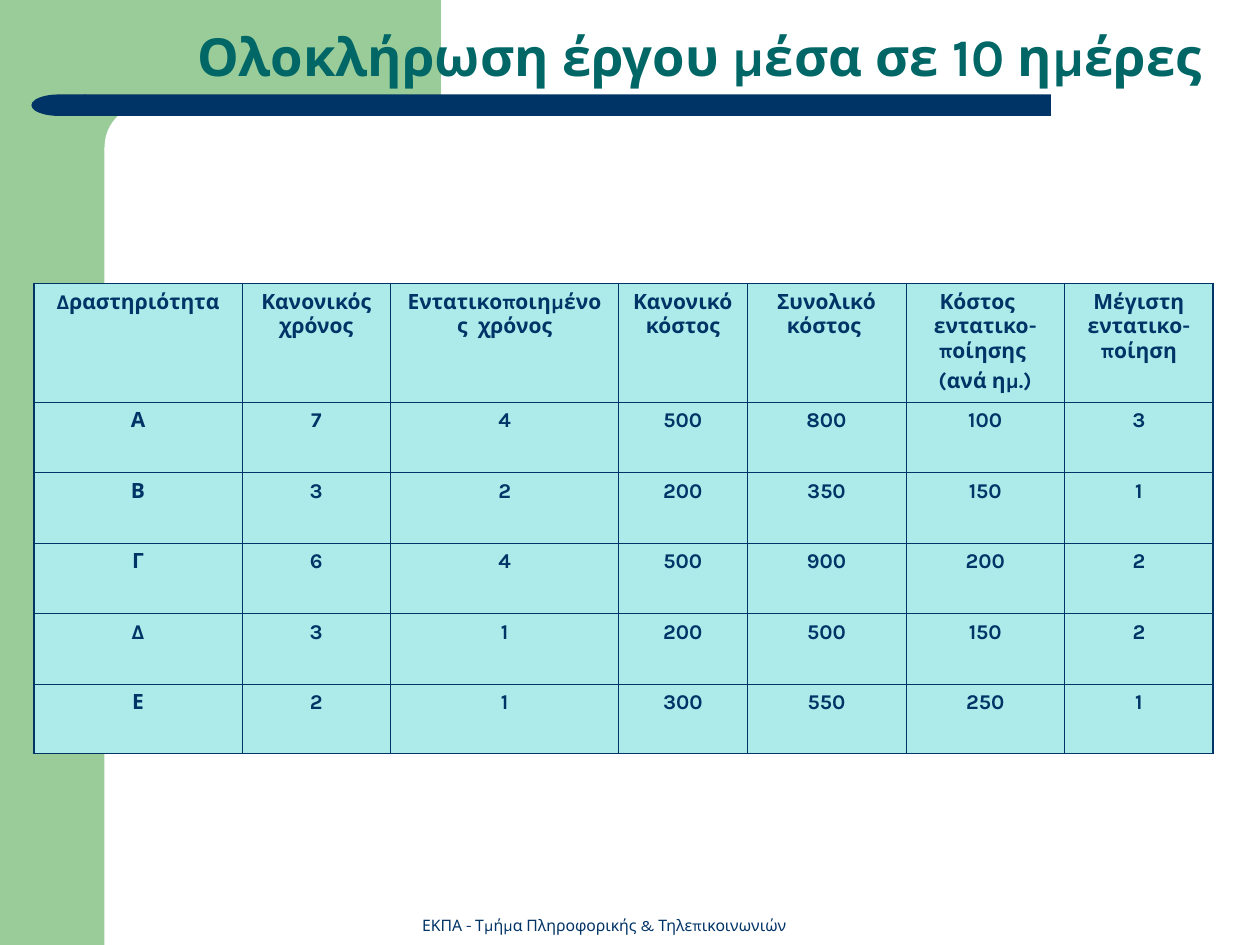
from dataclasses import dataclass

from lxml import etree
from pptx import Presentation
from pptx import util as u
from pptx.dml.color import RGBColor
from pptx.enum import shapes, text
from pptx.oxml import ns

COLORS = {
    "green": "99CC99",
    "white": "FFFFFF",
    "navy": "003366",
    "teal": "006666",
    "aqua": "ADEBEB",
}
FONT = "Karla"
OUTER_LINE, INNER_LINE = 1.08, 0.45
COLUMN_WIDTHS = [1.65, 1.18, 1.81, 1.02, 1.26, 1.26, 1.18]
ROW_HEIGHTS = [0.94] + [0.56] * 4 + [0.55]
ROWS = [
    ["Δραστηριότητα", "Κανονικός χρόνος", "Εντατικοποιημένος  χρόνος",
     "Κανονικό κόστος", "Συνολικό κόστος ",
     "Κόστος    εντατικο-ποίησης \n(ανά ημ.)", "Μέγιστη εντατικο-ποίηση"],
    ["Α", "7", "4", "500", "800", "100", "3"],
    ["Β", "3", "2", "200", "350", "150", "1"],
    ["Γ", "6", "4", "500", "900", "200", "2"],
    ["Δ", "3", "1", "200", "500", "150", "2"],
    ["Ε", "2", "1", "300", "550", "250", "1"],
]


@dataclass
class Panel:
    kind: shapes.MSO_SHAPE
    left: float
    top: float
    width: float
    height: float
    color: str
    corner: float | None = None
    flipped: bool = False


PANELS = [
    Panel(shapes.MSO_SHAPE.RECTANGLE, 0, 0, 0.83, 7.5, "green"),
    Panel(shapes.MSO_SHAPE.RECTANGLE, 0.75, 0, 2.75, 1.17, "green"),
    Panel(shapes.MSO_SHAPE.ROUNDED_RECTANGLE, 0.83, 0.83, 5.58, 0.67, "white", corner=0.5),
    Panel(shapes.MSO_SHAPE.ROUNDED_RECTANGLE, 0.67, 0.75, 7.67, 0.17, "navy", corner=0),
    Panel(shapes.MSO_SHAPE.FLOWCHART_DELAY, 0.25, 0.75, 0.43, 0.17, "navy", flipped=True),
]


def rgb(name: str) -> RGBColor:
    return RGBColor.from_string(COLORS[name])


def draw_panel(slide, panel: Panel) -> None:
    shape = slide.shapes.add_shape(
        panel.kind, u.Inches(panel.left), u.Inches(panel.top),
        u.Inches(panel.width), u.Inches(panel.height))
    shape.shadow.inherit = False
    shape.fill.solid()
    shape.fill.fore_color.rgb = rgb(panel.color)
    shape.line.fill.background()
    if panel.corner is not None:
        shape.adjustments[0] = panel.corner
    if panel.flipped:
        shape.element.spPr.xfrm.set("flipH", "1")


def style_paragraph(paragraph, size: float, color: str, align, bold: bool = False) -> None:
    paragraph.alignment = align
    paragraph.font.name = FONT
    paragraph.font.size = u.Pt(size)
    paragraph.font.bold = bold
    paragraph.font.color.rgb = rgb(color)


def draw_title(slide, words: str) -> None:
    title = slide.shapes.title
    title.left, title.top = u.Inches(0.33), u.Inches(0.25)
    title.width, title.height = u.Inches(9.42), u.Inches(0.5)
    frame = title.text_frame
    frame.text = words
    frame.word_wrap = True
    frame.auto_size = text.MSO_AUTO_SIZE.NONE
    frame.vertical_anchor = text.MSO_ANCHOR.BOTTOM
    paragraph = frame.paragraphs[0]
    paragraph.line_spacing = 0.9
    style_paragraph(paragraph, 30, "teal", text.PP_ALIGN.RIGHT, bold=True)
    title.element.getparent().append(title.element)


def draw_footer(slide, words: str) -> None:
    box = slide.shapes.add_textbox(
        u.Inches(3.21), u.Inches(7.22), u.Inches(3.17), u.Inches(0.25))
    frame = box.text_frame
    frame.text = words
    frame.word_wrap = True
    frame.vertical_anchor = text.MSO_ANCHOR.BOTTOM
    style_paragraph(frame.paragraphs[0], 9, "navy", text.PP_ALIGN.CENTER)


def add_border(cell, side: str, points: float) -> None:
    properties = cell._tc.get_or_add_tcPr()
    line = etree.SubElement(properties, ns.qn(f"a:ln{side}"), w=str(u.Pt(points)))
    fill = etree.SubElement(line, ns.qn("a:solidFill"))
    etree.SubElement(fill, ns.qn("a:srgbClr"), val=COLORS["navy"])


def draw_table(slide) -> None:
    table = slide.shapes.add_table(
        len(ROWS), len(COLUMN_WIDTHS), u.Inches(0.27), u.Inches(2.25),
        u.Inches(sum(COLUMN_WIDTHS)), u.Inches(sum(ROW_HEIGHTS))).table
    table.first_row = table.horz_banding = False
    for column, width in zip(table.columns, COLUMN_WIDTHS):
        column.width = u.Inches(width)
    for row, height in zip(table.rows, ROW_HEIGHTS):
        row.height = u.Inches(height)
    last_row, last_column = len(ROWS) - 1, len(COLUMN_WIDTHS) - 1
    for r, row in enumerate(ROWS):
        for c, words in enumerate(row):
            cell = table.cell(r, c)
            edges = {"L": c == 0, "R": c == last_column, "T": r == 0, "B": r == last_row}
            for side, is_outer in edges.items():
                add_border(cell, side, OUTER_LINE if is_outer else INNER_LINE)
            cell.fill.solid()
            cell.fill.fore_color.rgb = rgb("aqua")
            cell.text = words
            for index, paragraph in enumerate(cell.text_frame.paragraphs):
                if index:
                    paragraph.space_before = u.Pt(3)
                style_paragraph(paragraph, 12, "navy", text.PP_ALIGN.CENTER, bold=True)


def main() -> None:
    deck = Presentation()
    deck.slide_width, deck.slide_height = u.Inches(10), u.Inches(7.5)
    slide = deck.slides.add_slide(deck.slide_layouts.get_by_name("Title Only"))
    for panel in PANELS:
        draw_panel(slide, panel)
    draw_footer(slide, "ΕΚΠΑ - Τμήμα Πληροφορικής & Τηλεπικοινωνιών")
    draw_title(slide, "Ολοκλήρωση έργου μέσα σε 10 ημέρες ")
    draw_table(slide)
    deck.save("out.pptx")


if __name__ == "__main__":
    main()
